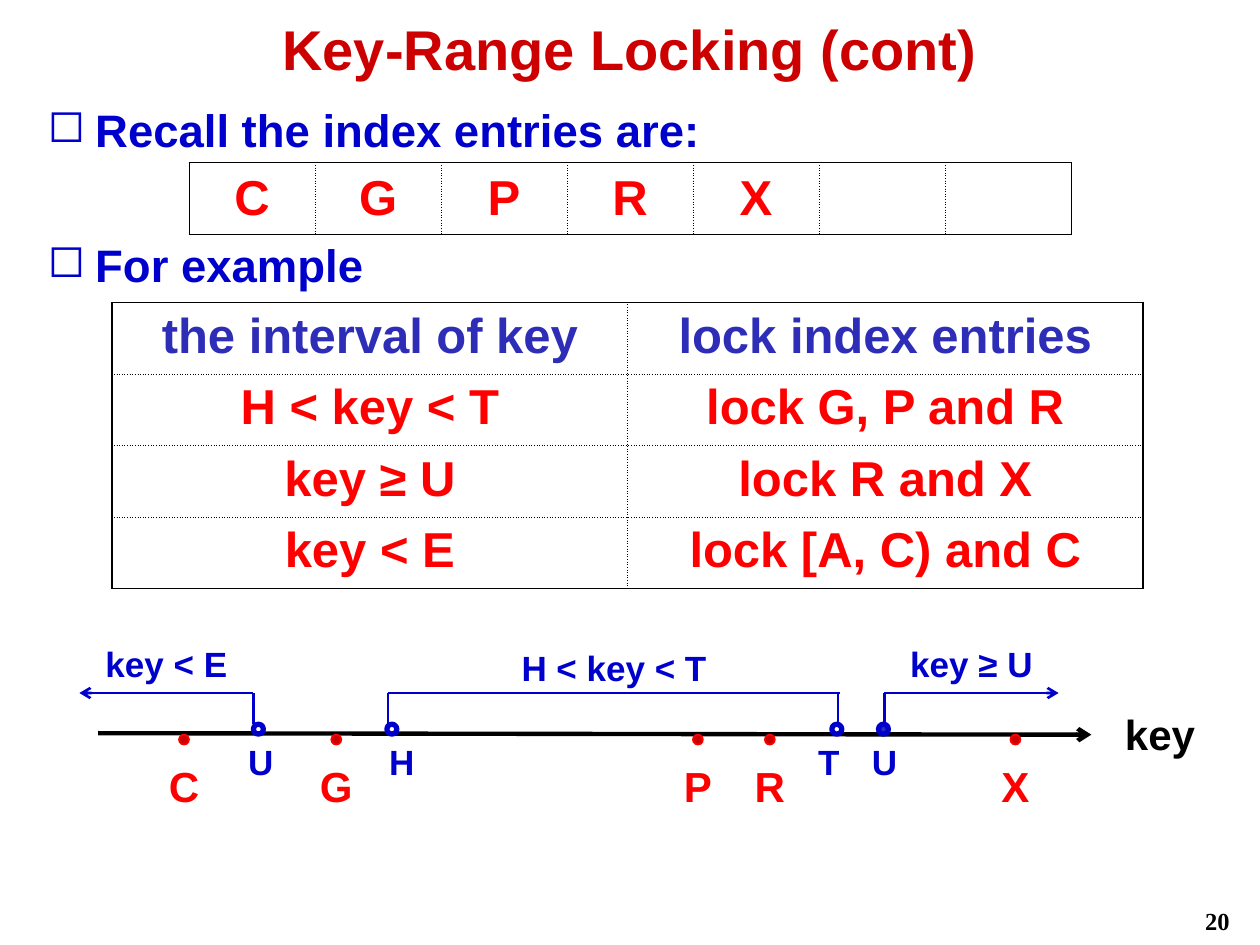
from pptx import Presentation
from pptx.dml.color import RGBColor
from pptx.enum.shapes import MSO_CONNECTOR, MSO_SHAPE
from pptx.enum.text import MSO_ANCHOR, PP_ALIGN
from pptx.oxml.ns import qn
from pptx.util import Cm, Pt
from lxml.etree import SubElement, Element

BLACK = RGBColor(0x00, 0x00, 0x00)
RED = RGBColor(0xFF, 0x00, 0x00)
DARK_RED = RGBColor(0xCC, 0x00, 0x00)
BLUE = RGBColor(0x00, 0x00, 0xCC)
INDIGO = RGBColor(0x2D, 0x2D, 0xB7)

# Content; all lengths are in centimetres
TITLE = "Key-Range Locking (cont)"
BULLETS = [("Recall the index entries are:", 1.93), ("For example", 4.65)]
INDEX_ROWS = [["C", "G", "P", "R", "X", "", ""]]
LOCK_ROWS = [
    ["the interval of key", "lock index entries"],
    ["H < key < T", "lock G, P and R"],
    ["key ≥ U", "lock R and X"],
    ["key < E", "lock [A, C) and C"],
]
# Index entries on the key axis: name, centre
ENTRIES = [("C", 3.71), ("G", 6.78), ("P", 14.07), ("R", 15.52), ("X", 20.47)]
# Interval bounds: name, label centre, ring centre, ring fill
BOUNDS = [
    ("U", 5.26, 5.21, None),
    ("H", 8.1, 7.9, None),
    ("T", 16.71, 16.87, None),
    ("U", 17.83, 17.81, INDIGO),
]
# Intervals: label, start, end, drop positions, label top, arrow on the bar
INTERVALS = [
    ("key < E", 5.11, 1.6, [5.11], 12.83, True),
    ("H < key < T", 7.82, 16.94, [7.82, 16.89], 12.9, False),
    ("key ≥ U", 17.83, 21.34, [17.83], 12.83, True),
]
BAR_TOP, RING_TOP, DOT_TOP, DOT_SIZE = 13.97, 14.6, 14.81, 0.2
LABEL_WIDTH = 1.22
ROW_HEIGHT = 1.44

deck = Presentation()
deck.slide_width, deck.slide_height = Cm(25.4), Cm(19.05)
page = deck.slides.add_slide(deck.slide_layouts[6])


def write(para, text, size, color, align=PP_ALIGN.CENTER, font="Arial"):
    para.alignment = align
    span = para.add_run()
    span.text = text
    span.font.name, span.font.size, span.font.bold = font, Pt(size), True
    span.font.color.rgb = color


def add_text(text, left, top, width, height, size, color, **style):
    box = page.shapes.add_textbox(Cm(left), Cm(top), Cm(width), Cm(height))
    box.text_frame.word_wrap = True
    write(box.text_frame.paragraphs[0], text, size, color, **style)
    return box


def add_line(start, end, color, width, arrow=False):
    line = page.shapes.add_connector(
        MSO_CONNECTOR.STRAIGHT, *[Cm(value) for value in (*start, *end)])
    line.line.color.rgb, line.line.width = color, Pt(width)
    if arrow:
        SubElement(line.line._get_or_add_ln(), qn("a:tailEnd"), type="arrow")
    SubElement(line._element.spPr, qn("a:effectLst"))


def add_dot(center, top, fill, color, width):
    dot = page.shapes.add_shape(
        MSO_SHAPE.FLOWCHART_CONNECTOR, Cm(center - DOT_SIZE / 2), Cm(top),
        Cm(DOT_SIZE), Cm(DOT_SIZE))
    dot.shadow.inherit = False
    if fill is None:
        dot.fill.background()
    else:
        dot.fill.solid()
        dot.fill.fore_color.rgb = fill
    dot.line.color.rgb, dot.line.width = color, Pt(width)


def set_borders(cell, outer_sides, outer_width):
    """Solid lines on the outer sides, dotted half-point lines elsewhere."""
    properties = cell._tc.get_or_add_tcPr()
    for place, side in enumerate("LRTB"):
        outer = side in outer_sides
        width = Pt(outer_width if outer else 0.5)
        border = Element(qn(f"a:ln{side}"), w=str(width))
        fill = SubElement(border, qn("a:solidFill"))
        SubElement(fill, qn("a:srgbClr"), val=str(BLACK))
        SubElement(border, qn("a:prstDash"), val="solid" if outer else "dot")
        properties.insert(place, border)


def add_grid(rows, left, top, width, outer_width, anchor, header_color):
    row_count, column_count = len(rows), len(rows[0])
    table = page.shapes.add_table(
        row_count, column_count, Cm(left), Cm(top), Cm(width),
        Cm(ROW_HEIGHT * row_count)).table
    table.first_row = table.horz_banding = False
    for r, row in enumerate(rows):
        for c, text in enumerate(row):
            cell = table.cell(r, c)
            cell.fill.background()
            cell.vertical_anchor = anchor
            if text:
                write(cell.text_frame.paragraphs[0], text, 28,
                      header_color if r == 0 else RED)
            edges = {"L": c == 0, "R": c == column_count - 1,
                     "T": r == 0, "B": r == row_count - 1}
            set_borders(cell, [s for s in edges if edges[s]], outer_width)


# Slide number and title
add_text("20", 19.76, 18.14, 5.28, 0.74, 14, BLACK,
         align=PP_ALIGN.RIGHT, font="Times New Roman")
title = add_text(TITLE, 1.9, 0.15, 21.59, 1.63, 32, DARK_RED)
title.text_frame.vertical_anchor = MSO_ANCHOR.MIDDLE

# Bullets
for text, top in BULLETS:
    bullet = add_text(text, 0.71, top, 23.77, 1.37, 26, BLUE,
                      align=PP_ALIGN.LEFT)
    properties = bullet.text_frame.paragraphs[0]._p.get_or_add_pPr()
    properties.set("marL", str(Cm(0.96)))
    properties.set("indent", str(-Cm(0.96)))
    SubElement(properties, qn("a:buChar"), char="◻")

# Tables
add_grid(INDEX_ROWS, 3.81, 3.28, 17.78, 0.5, MSO_ANCHOR.MIDDLE, RED)
add_grid(LOCK_ROWS, 2.26, 6.1, 20.78, 1, MSO_ANCHOR.TOP, INDIGO)

# Key axis with the index entries
add_line((1.98, 14.78), (22, 14.81), BLACK, 2.5, arrow=True)
add_text("key", 22.28, 14.15, 2.21, 1.27, 24, BLACK)
for name, center in ENTRIES:
    add_text(name, center - LABEL_WIDTH / 2, 15.21, LABEL_WIDTH, 1.27, 24, RED)
    add_dot(center, DOT_TOP, DARK_RED, RED, 1)

# Interval bounds
for name, label_center, ring_center, fill in BOUNDS:
    add_text(name, label_center - LABEL_WIDTH / 2, 14.8, LABEL_WIDTH, 1.12,
             20, BLUE)
    add_dot(ring_center, RING_TOP, fill, BLUE, 3)

# Interval brackets
for text, start, end, drops, label_top, arrow in INTERVALS:
    add_line((start, BAR_TOP), (end, BAR_TOP), BLUE, 1.5, arrow)
    for x in drops:
        add_line((x, RING_TOP), (x, BAR_TOP), BLUE, 1.5)
    add_text(text, min(start, end), label_top, abs(end - start), 1.12, 20, BLUE)

deck.save("out.pptx")
